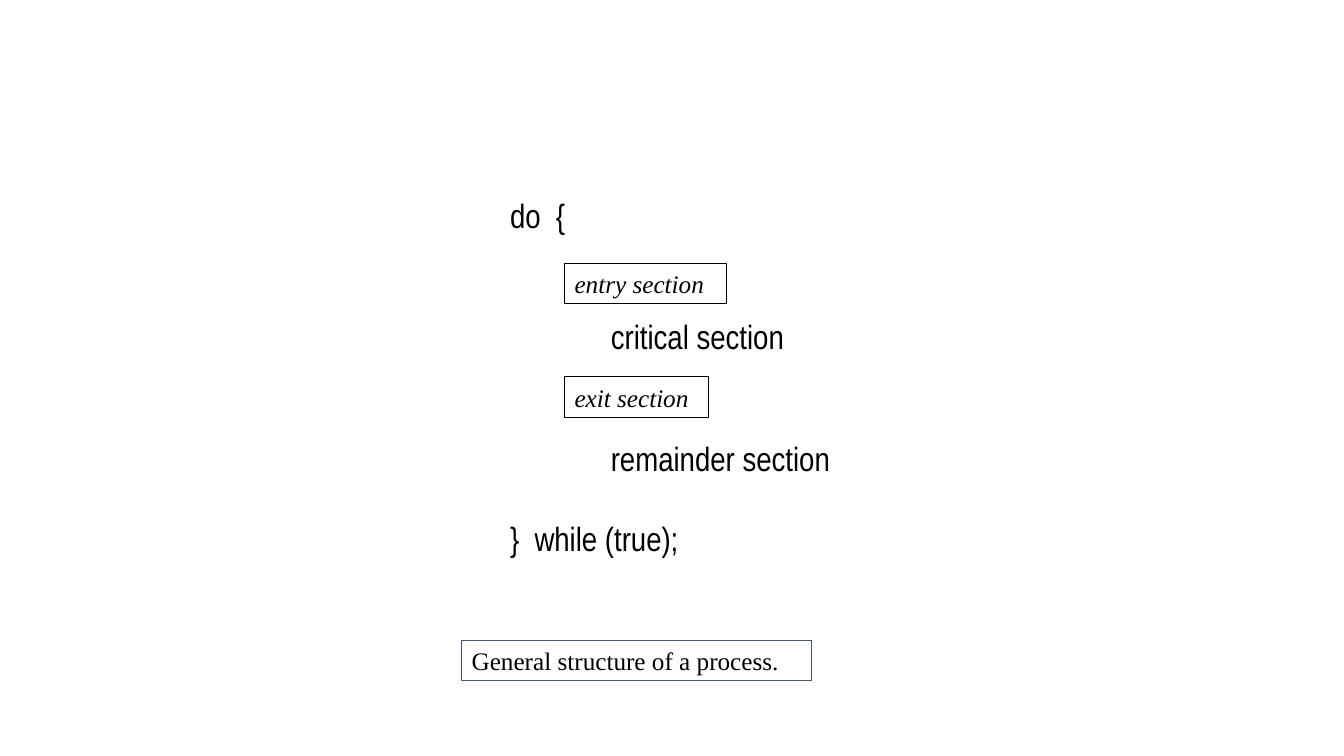
from dataclasses import dataclass

import pptx
import pptx.dml.color
import pptx.enum.shapes
import pptx.enum.text
import pptx.util
from pptx.util import Inches

COLOURS = {"text": "000000", "section": "000000", "caption": "44546A"}
BOX_HEIGHT = 0.4
CODE_LINE_PITCH = 29  # points


@dataclass
class CodeLine:
    text: str
    indent: float = 0
    blank_lines_before: int = 0


@dataclass
class FramedLabel:
    text: str
    left: float
    top: float
    width: float
    outline: str = "section"
    italic: bool = True


LOOP_CODE = [
    CodeLine("do  {"),
    CodeLine("critical section", 1, 2),
    CodeLine("remainder section", 1, 2),
    CodeLine("}  while (true);", 0, 1),
]

LABELS = [
    FramedLabel("entry section", 5.6, 2.61, 1.61),
    FramedLabel("exit section", 5.6, 3.74, 1.43),
    FramedLabel("General structure of a process.", 4.58, 6.35, 3.47, "caption", False),
]


def colour(name: str) -> pptx.dml.color.RGBColor:
    return pptx.dml.color.RGBColor.from_string(COLOURS[name])


def add_text(paragraph, text: str, font_name: str, size: int, italic: bool = False) -> None:
    paragraph.alignment = pptx.enum.text.PP_ALIGN.LEFT
    run = paragraph.add_run()
    run.text = text
    run.font.name = font_name
    run.font.size = pptx.util.Pt(size)
    run.font.italic = italic
    run.font.color.rgb = colour("text")


def draw_code(slide, lines: list[CodeLine]) -> None:
    code = slide.shapes.add_textbox(Inches(4.96), Inches(1.88), Inches(3.41), Inches(3.74))
    frame = code.text_frame
    frame.word_wrap = True
    for number, line in enumerate(lines):
        paragraph = frame.add_paragraph() if number else frame.paragraphs[0]
        if line.indent:
            paragraph._p.get_or_add_pPr().set("marL", str(Inches(line.indent)))
        if line.blank_lines_before:
            paragraph.space_before = pptx.util.Pt(line.blank_lines_before * CODE_LINE_PITCH)
        add_text(paragraph, line.text, "Arial Narrow", 24)


def draw_label(slide, label: FramedLabel) -> None:
    box = slide.shapes.add_shape(
        pptx.enum.shapes.MSO_SHAPE.RECTANGLE,
        Inches(label.left), Inches(label.top), Inches(label.width), Inches(BOX_HEIGHT),
    )
    box.shadow.inherit = False
    box.fill.background()
    box.line.color.rgb = colour(label.outline)
    box.line.width = pptx.util.Pt(0.75)
    box.text_frame.word_wrap = True
    add_text(box.text_frame.paragraphs[0], label.text, "Times New Roman", 18, label.italic)


def main() -> None:
    deck = pptx.Presentation()
    deck.slide_width, deck.slide_height = Inches(13.33), Inches(7.5)
    slide = deck.slides.add_slide(deck.slide_layouts[6])

    # Loop skeleton
    draw_code(slide, LOOP_CODE)

    # Entry and exit sections, then the caption
    for label in LABELS:
        draw_label(slide, label)

    deck.save("out.pptx")


if __name__ == "__main__":
    main()
